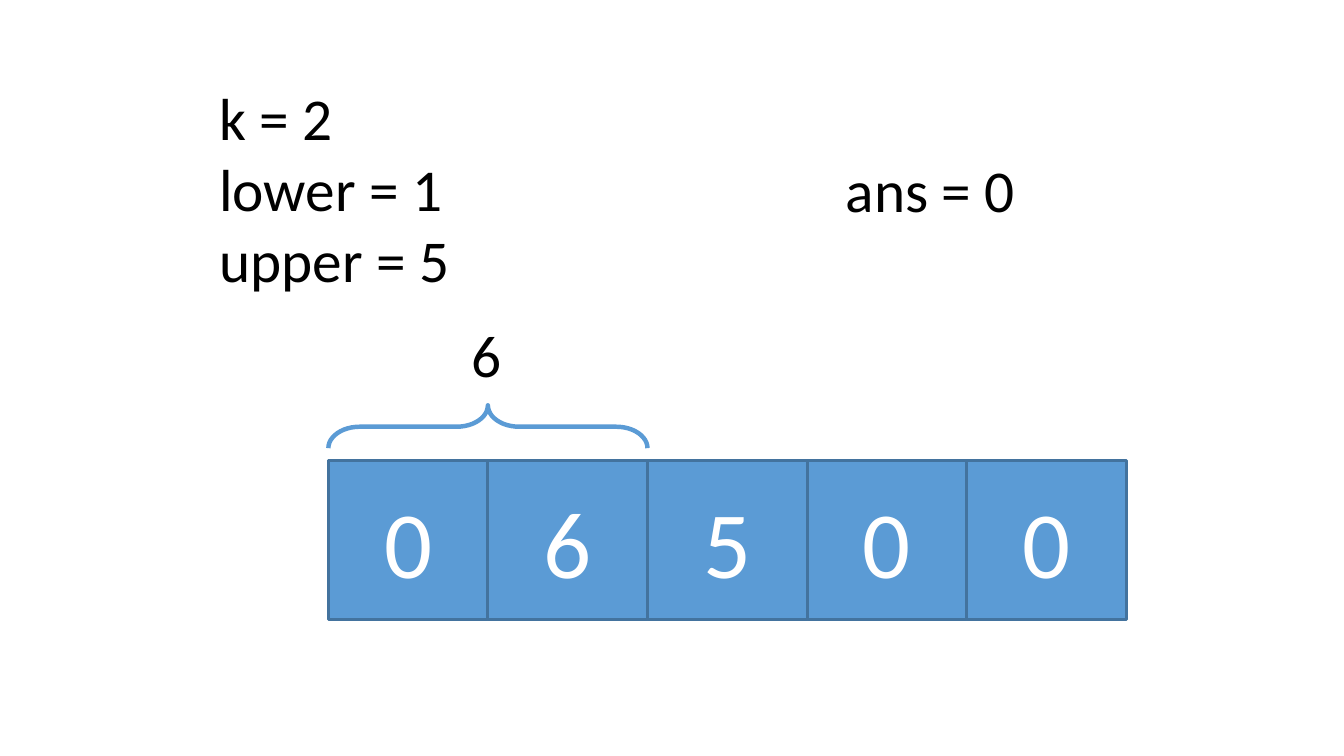
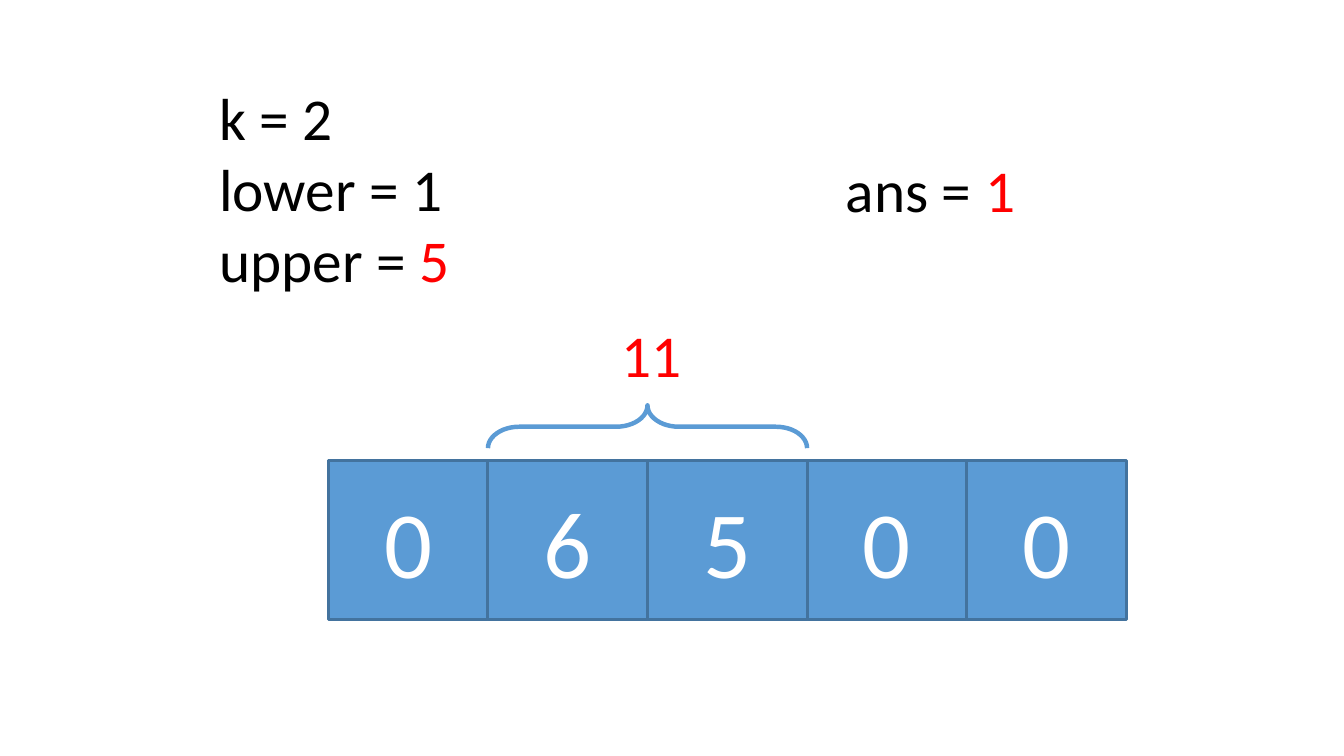
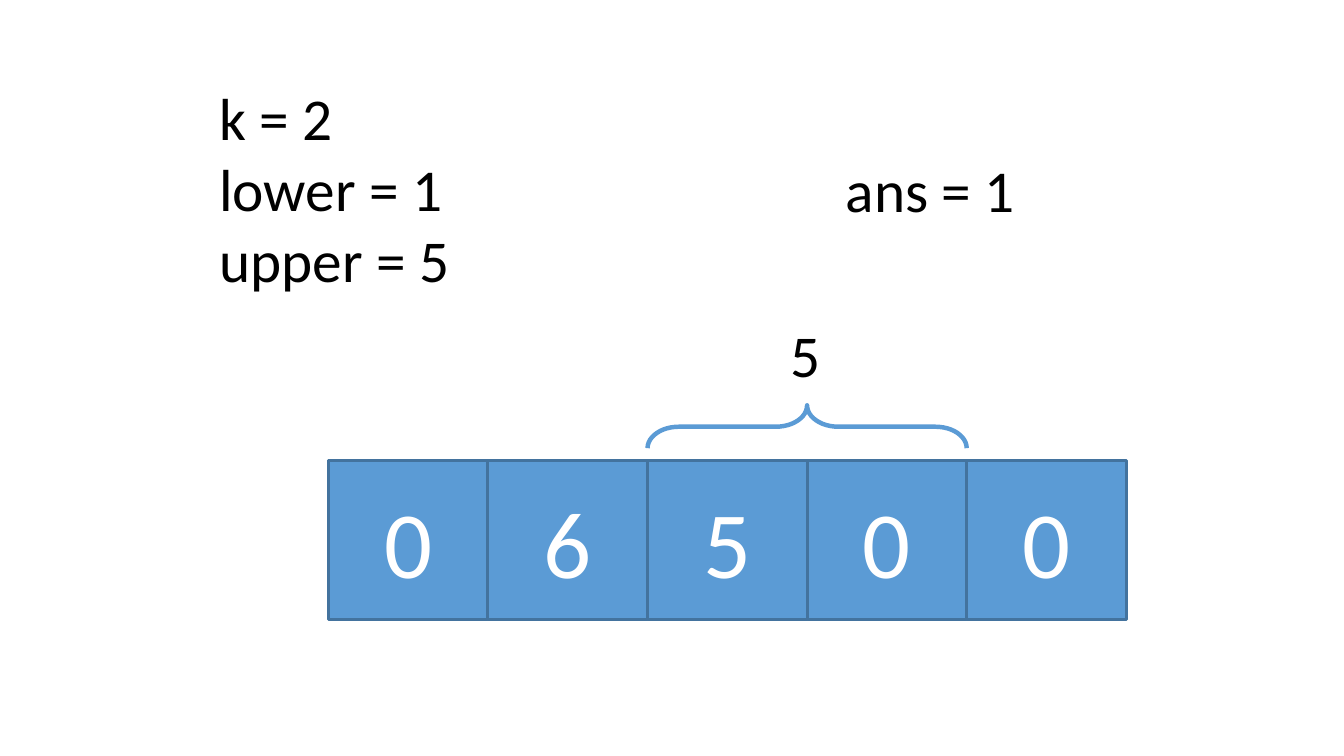
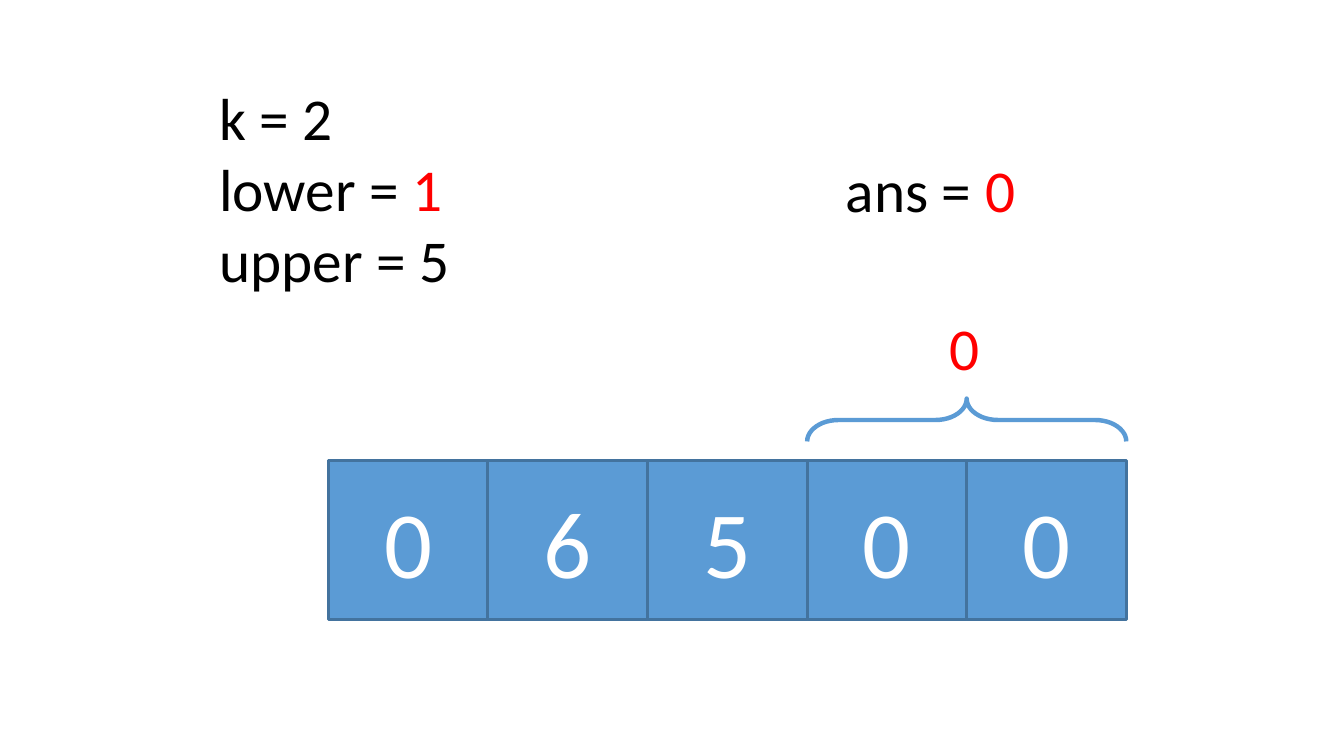
"""Four steps of a window of k = 2 sliding over an array."""
from dataclasses import dataclass

from pptx import Presentation
from pptx.dml.color import RGBColor
from pptx.enum import shapes, text
from pptx.util import Cm, Pt


@dataclass(frozen=True)
class Theme:
    """Colours, font and sizes shared by all slides."""
    font: str = "Calibri"
    ink: RGBColor = RGBColor(0, 0, 0)
    accent: RGBColor = RGBColor(0xFF, 0, 0)
    cell_fill: RGBColor = RGBColor(0x5B, 0x9B, 0xD5)
    cell_line: RGBColor = RGBColor(0x43, 0x73, 0x9E)
    cell_text: RGBColor = RGBColor(0xFF, 0xFF, 0xFF)
    body_size: int = 20
    cell_size: int = 32
    cell_border: float = 1
    brace_border: float = 1.5


@dataclass(frozen=True)
class Step:
    """One window position; bound names the highlighted limit."""
    start: int
    answer: int
    bound: str = ""
    lift: float = 0


VALUES = (0, 6, 5, 0, 0)
WINDOW = 2
LIMITS = {"k": WINDOW, "lower": 1, "upper": 5}
STEPS = (
    Step(start=0, answer=0),
    Step(start=1, answer=1, bound="upper"),
    Step(start=2, answer=1),
    Step(start=3, answer=0, bound="lower", lift=0.08),
)

# Lengths in centimetres
ARRAY_LEFT, ARRAY_TOP, CELL = 3.91, 5.48, 1.9
BRACE_MIDDLE, BRACE_DEPTH = 5.08, 0.51
LABEL_TOP, LABEL_WIDTH, LINE_HEIGHT = 3.66, 1.35, 1.12


class Board:
    """Draws the elements of the current slide in one style."""

    def __init__(self, deck, theme):
        """Keep the deck and its theme."""
        self.deck = deck
        self.theme = theme
        self.slide = None

    def new_slide(self):
        """Start a blank slide."""
        self.slide = self.deck.slides.add_slide(self.deck.slide_layouts[6])

    def style(self, span, size, color):
        """Format one run."""
        span.font.name = self.theme.font
        span.font.size = Pt(size)
        span.font.color.rgb = color

    def text_box(self, left, top, width, height, lines):
        """Write lines, each a list of (words, is highlighted) pairs."""
        box = self.slide.shapes.add_textbox(Cm(left), Cm(top), Cm(width), Cm(height))
        frame = box.text_frame
        frame.word_wrap = True
        frame.auto_size = text.MSO_AUTO_SIZE.SHAPE_TO_FIT_TEXT
        for index, line in enumerate(lines):
            para = frame.add_paragraph() if index else frame.paragraphs[0]
            for words, highlighted in line:
                span = para.add_run()
                span.text = words
                color = self.theme.accent if highlighted else self.theme.ink
                self.style(span, self.theme.body_size, color)

    def cell(self, index, value):
        """Draw one array cell."""
        box = self.slide.shapes.add_shape(
            shapes.MSO_SHAPE.RECTANGLE,
            Cm(ARRAY_LEFT + index * CELL), Cm(ARRAY_TOP), Cm(CELL), Cm(CELL))
        box.shadow.inherit = False
        box.fill.solid()
        box.fill.fore_color.rgb = self.theme.cell_fill
        box.line.color.rgb = self.theme.cell_line
        box.line.width = Pt(self.theme.cell_border)
        frame = box.text_frame
        frame.vertical_anchor = text.MSO_ANCHOR.MIDDLE
        frame.text = str(value)
        para = frame.paragraphs[0]
        para.alignment = text.PP_ALIGN.CENTER
        self.style(para.runs[0], self.theme.cell_size, self.theme.cell_text)

    def brace(self, center, middle, span_width):
        """Draw a brace that points up, around its centre."""
        brace = self.slide.shapes.add_shape(
            shapes.MSO_SHAPE.RIGHT_BRACE,
            Cm(center - BRACE_DEPTH / 2), Cm(middle - span_width / 2),
            Cm(BRACE_DEPTH), Cm(span_width))
        brace.rotation = 270
        brace.adjustments[0] = 0.73
        brace.adjustments[1] = 0.5
        brace.shadow.inherit = False
        brace.fill.background()
        brace.line.color.rgb = self.theme.cell_fill
        brace.line.width = Pt(self.theme.brace_border)

    def window(self, step):
        """Mark the window with a brace and its sum."""
        center = ARRAY_LEFT + (step.start + WINDOW / 2) * CELL
        total = str(sum(VALUES[step.start:step.start + WINDOW]))
        offset = 0.45 if len(total) == 1 else 0.56
        self.brace(center, BRACE_MIDDLE - step.lift, WINDOW * CELL)
        self.text_box(center - offset, LABEL_TOP - step.lift, LABEL_WIDTH,
                      LINE_HEIGHT, [[(total, bool(step.bound))]])


def assignment(name, value, highlighted):
    """Return the pieces of a line such as 'k = 2'."""
    return [(f"{name} = ", False), (str(value), highlighted)]


def build():
    """Build and save the deck."""
    deck = Presentation()
    deck.slide_width, deck.slide_height = Cm(16), Cm(9)
    board = Board(deck, Theme())
    for step in STEPS:
        board.new_slide()
        for index, value in enumerate(VALUES):
            board.cell(index, value)
        limits = [assignment(name, value, name == step.bound)
                  for name, value in LIMITS.items()]
        board.text_box(2.36, 0.84, 5.44, 2.82, limits)
        board.text_box(9.82, 1.7, 5.44, LINE_HEIGHT,
                       [assignment("ans", step.answer, bool(step.bound))])
        board.window(step)
    deck.save("out.pptx")


build()
